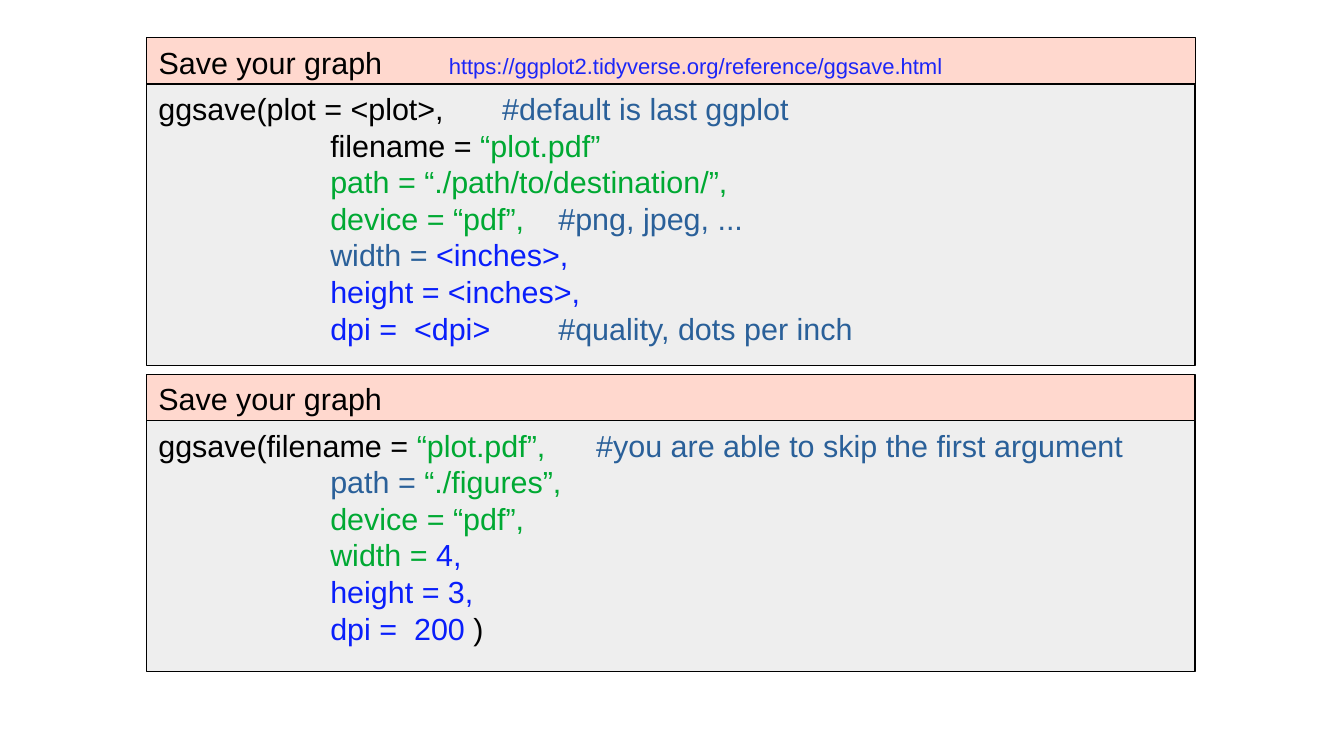
from dataclasses import dataclass

from lxml.etree import SubElement
from pptx import Presentation
from pptx.dml.color import RGBColor
from pptx.enum.shapes import MSO_SHAPE as Shape
from pptx.enum.text import MSO_ANCHOR as Anchor, MSO_AUTO_SIZE as AutoSize, PP_ALIGN as Align
from pptx.oxml.ns import qn
from pptx.util import Inches, Pt

CELL = 0.1  # side of a square grid cell, in inches
LEFT, WIDTH, HEADER_ROWS = 12, 86, 3.8
ARGUMENT_TAB, COMMENT_TAB = 14.1, 32.8

BLACK, GREEN, BLUE, SLATE = "000000", "00A933", "091EFB", "2A6099"
LINK, PINK, GRAY = "1C26F7", "FFD8CE", "EEEEEE"


@dataclass(frozen=True)
class Span:
    text: str
    color: str = BLACK
    size: float = 18


@dataclass(frozen=True)
class Line:
    spans: tuple[Span, ...]
    tabs: tuple[float, ...] = ()


@dataclass(frozen=True)
class Card:
    top: float
    body_rows: float
    header: Line
    code: tuple[Line, ...]


def argument(*spans: Span) -> Line:
    """Return a code line indented to the argument column."""
    return Line((Span("\t"), *spans), (ARGUMENT_TAB, COMMENT_TAB))


CARDS = (
    Card(3.1, 23.1,
         Line((Span("Save your graph\t"),
               Span("https://ggplot2.tidyverse.org/reference/ggsave.html", LINK, 13)), (23.8,)),
         (Line((Span("ggsave(plot = <plot>,\t"), Span("#default is last ggplot", SLATE)), (28.2,)),
          argument(Span("filename = "), Span("“plot.pdf”", GREEN)),
          argument(Span("path = “./path/to/destination/”,", GREEN)),
          argument(Span("device = “pdf”,\t", GREEN), Span("#png, jpeg, ...", SLATE)),
          argument(Span("width = ", SLATE), Span("<inches>,", BLUE)),
          argument(Span("height = <inches>,", BLUE)),
          argument(Span("dpi =  <dpi>\t", BLUE), Span("#quality, dots per inch", SLATE)))),
    Card(30.7, 20.6,
         Line((Span("Save your graph"),)),
         (Line((Span("ggsave(filename = "), Span("“plot.pdf”,\t", GREEN),
                Span("#you are able to skip the first argument", SLATE)), (35.9,)),
          argument(Span("path = ", SLATE), Span("“./figures”,", GREEN)),
          argument(Span("device = “pdf”,", GREEN)),
          argument(Span("width = ", GREEN), Span("4,", BLUE)),
          argument(Span("height = 3,", BLUE)),
          argument(Span("dpi =  200", BLUE), Span(" )")))),
)


def cells(count: float) -> int:
    return Inches(count * CELL)


def rgb(color: str) -> RGBColor:
    return RGBColor.from_string(color)


def add_tabs(paragraph, tabs: tuple[float, ...]) -> None:
    tab_list = SubElement(paragraph._p.get_or_add_pPr(), qn("a:tabLst"))
    for position in tabs:
        SubElement(tab_list, qn("a:tab"), pos=str(cells(position)), algn="l")


def write_lines(shape, lines: tuple[Line, ...]) -> None:
    frame = shape.text_frame
    frame.word_wrap = True
    frame.auto_size = AutoSize.NONE
    frame.vertical_anchor = Anchor.TOP
    frame.margin_left = frame.margin_right = Inches(0.1)
    frame.margin_top = frame.margin_bottom = Inches(0.05)
    for index, line in enumerate(lines):
        paragraph = frame.add_paragraph() if index else frame.paragraphs[0]
        paragraph.alignment = Align.LEFT
        if line.tabs:
            add_tabs(paragraph, line.tabs)
        for span in line.spans:
            run = paragraph.add_run()
            run.text = span.text
            run.font.name = "Arial"
            run.font.size = Pt(span.size)
            run.font.color.rgb = rgb(span.color)


def format_box(shape, top: float, rows: float, *, fill: str, lines: tuple[Line, ...]) -> None:
    shape.left, shape.top = cells(LEFT), cells(top)
    shape.width, shape.height = cells(WIDTH), cells(rows)
    shape.shadow.inherit = False
    shape.fill.solid()
    shape.fill.fore_color.rgb = rgb(fill)
    shape.line.color.rgb = rgb(BLACK)
    shape.line.width = Pt(0.75)
    write_lines(shape, lines)


def add_rectangle(slide):
    return slide.shapes.add_shape(Shape.RECTANGLE, 0, 0, cells(1), cells(1))


def main() -> None:
    presentation = Presentation()
    presentation.slide_width, presentation.slide_height = Inches(11.02), Inches(6.2)
    slide = presentation.slides.add_slide(presentation.slide_layouts[5])
    for index, card in enumerate(CARDS):
        header = add_rectangle(slide) if index else slide.shapes.title
        format_box(header, card.top, HEADER_ROWS, fill=PINK, lines=(card.header,))
        format_box(add_rectangle(slide), card.top + HEADER_ROWS, card.body_rows,
                   fill=GRAY, lines=card.code)
    presentation.save("out.pptx")


if __name__ == "__main__":
    main()
